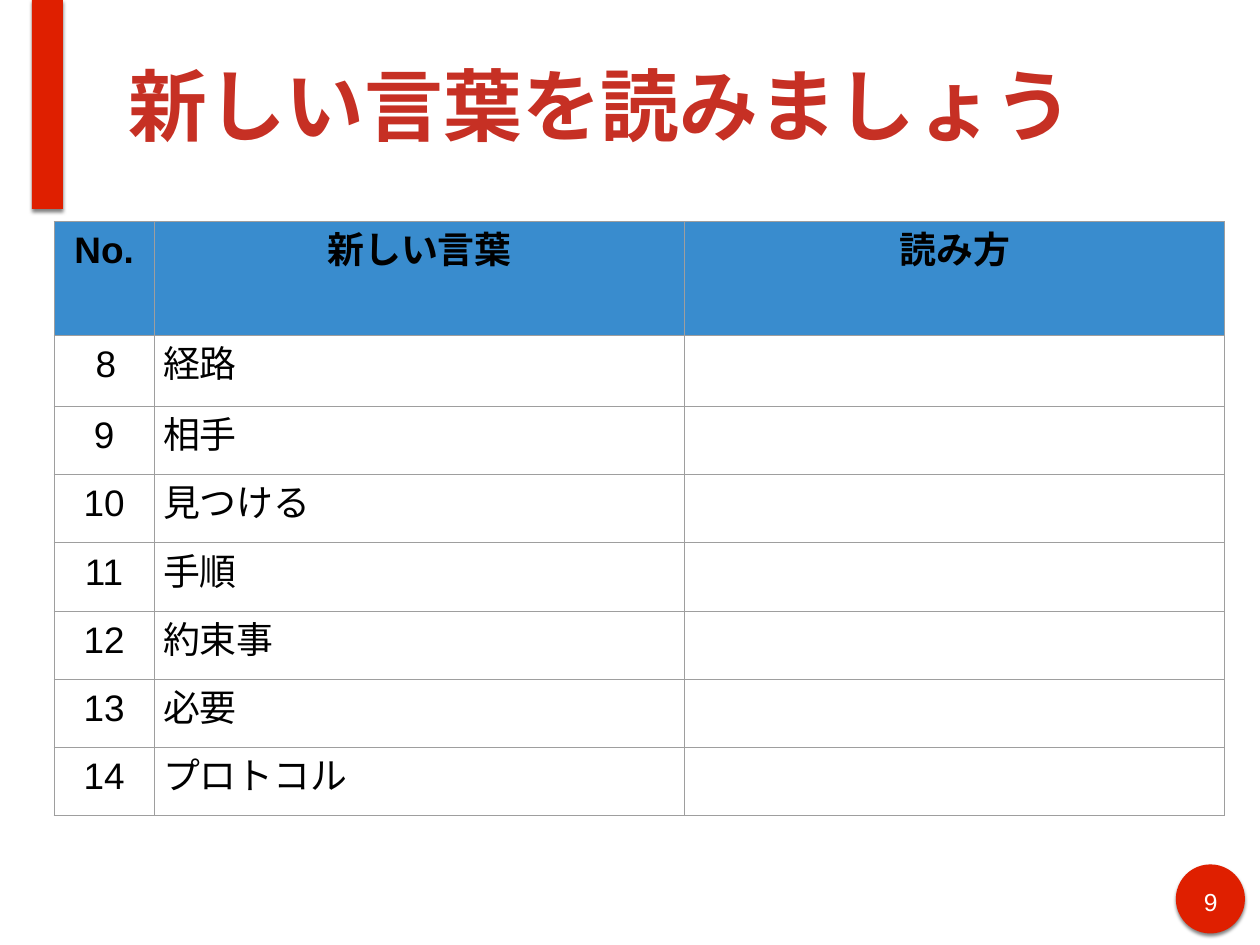
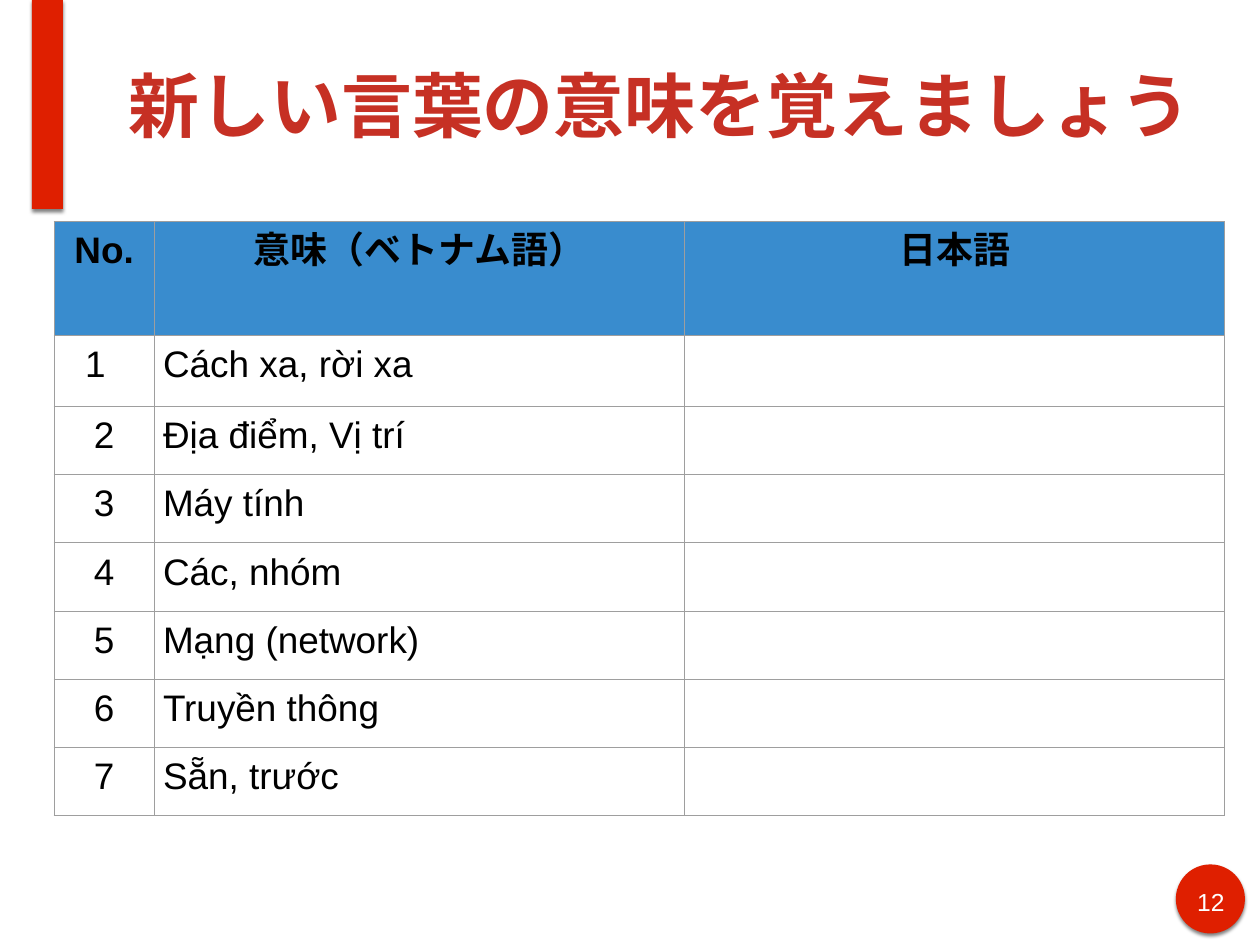
from dataclasses import dataclass

from lxml import etree
from pptx import Presentation
from pptx.dml.color import RGBColor
from pptx.enum.lang import MSO_LANGUAGE_ID as Language
from pptx.enum.shapes import MSO_SHAPE as Shape
from pptx.enum.text import MSO_ANCHOR as Anchor, MSO_AUTO_SIZE as AutoSize, PP_ALIGN as Align
from pptx.oxml.ns import qn
from pptx.util import Inches, Pt


@dataclass(frozen=True)
class Theme:
    font: str = "Arial"
    accent: str = "DF1F00"
    title: str = "C63024"
    header: str = "398CCE"
    border: str = "9E9E9E"
    text: str = "000000"
    light: str = "FFFFFF"
    table_size: float = 30
    number_size: float = 20
    border_width: float = 0.75
    cell_margin: float = 0.1
    text_margin: float = 0.06


THEME = Theme()
COLUMN_WIDTHS = (1.13, 5.99, 6.09)
HEADER_HEIGHT, FIRST_HEIGHT, ROW_HEIGHT = 1.29, 0.8, 0.77

# Slide content; first_indent places the left-aligned first number
SLIDES = [
    dict(
        title="新しい言葉を読みましょう", title_size=64, page=9,
        headers=("No.", "新しい言葉", "読み方"), first_number=8, first_indent=0.37,
        words=("経路", "相手", "見つける", "手順", "約束事", "必要", "プロトコル"),
    ),
    dict(
        title="新しい言葉の意味を覚えましょう", title_size=57.6, page=12,
        headers=("No.", "意味（ベトナム語）", "日本語"), first_number=1, first_indent=0.25,
        words=("Cách xa, rời xa", "Địa điểm, Vị trí", "Máy tính", "Các, nhóm",
               "Mạng (network)", "Truyền thông", "Sẵn, trước"),
    ),
]


# Text
def write(text_frame, text, size, color, bold=False, align=Align.LEFT):
    text_frame.text = text
    paragraph = text_frame.paragraphs[0]
    paragraph.alignment = align
    for run in paragraph.runs:
        font = run.font
        font.size, font.bold, font.name = Pt(size), bold, THEME.font
        font.color.rgb = RGBColor.from_string(color)
        font.language_id = Language.JAPANESE
        etree.SubElement(run._r.rPr, qn("a:ea"), typeface=THEME.font)


def set_margins(target, inches):
    target.margin_left = target.margin_right = Inches(inches)
    target.margin_top = target.margin_bottom = Inches(inches)


# Shared decoration
def add_accent(slide, kind, left, top, width, height):
    shape = slide.shapes.add_shape(kind, Inches(left), Inches(top), Inches(width), Inches(height))
    shape.fill.solid()
    shape.fill.fore_color.rgb = RGBColor.from_string(THEME.accent)
    shape.line.fill.background()
    shape.shadow.inherit = False
    effects = shape._element.spPr.find(qn("a:effectLst"))
    shadow = etree.SubElement(effects, qn("a:outerShdw"), blurRad=str(Pt(3)), dist=str(Pt(2)),
                              dir="5400000", rotWithShape="0")
    color = etree.SubElement(shadow, qn("a:srgbClr"), val=THEME.text)
    etree.SubElement(color, qn("a:alpha"), val="50000")


def add_page_number(slide, page):
    add_accent(slide, Shape.OVAL, 13.27, 9.76, 0.78, 0.78)
    box = slide.shapes.add_textbox(Inches(13.42), Inches(9.95), Inches(0.49), Inches(0.39))
    box.text_frame.word_wrap = True
    set_margins(box.text_frame, THEME.text_margin)
    write(box.text_frame, str(page), THEME.number_size, THEME.light, align=Align.CENTER)


def set_title(slide, text, size):
    title = slide.shapes.title
    title.left, title.top = Inches(1.39), Inches(0.12)
    title.width, title.height = Inches(12.14), Inches(2.12)
    frame = title.text_frame
    frame.auto_size, frame.word_wrap = AutoSize.NONE, True
    frame.vertical_anchor = Anchor.MIDDLE
    set_margins(frame, THEME.text_margin)
    write(frame, text, size, THEME.title, bold=True)


# Vocabulary table
def add_borders(cell):
    properties = cell._tc.get_or_add_tcPr()
    for side in ("lnL", "lnR", "lnT", "lnB"):
        line = etree.SubElement(properties, qn(f"a:{side}"), w=str(Pt(THEME.border_width)))
        fill = etree.SubElement(line, qn("a:solidFill"))
        etree.SubElement(fill, qn("a:srgbClr"), val=THEME.border)


def fill_cell(cell, text, header, align):
    set_margins(cell, THEME.cell_margin)
    add_borders(cell)
    if header:
        cell.fill.solid()
        cell.fill.fore_color.rgb = RGBColor.from_string(THEME.header)
    else:
        cell.fill.background()
    if text:
        write(cell.text_frame, text, THEME.table_size, THEME.text, header, align)


def add_word_table(slide, headers, words, first_number, first_indent):
    rows = [headers] + [(str(number), word, "") for number, word in enumerate(words, first_number)]
    heights = [HEADER_HEIGHT, FIRST_HEIGHT] + [ROW_HEIGHT] * (len(words) - 1)
    frame = slide.shapes.add_table(len(rows), len(headers), Inches(0.61), Inches(2.5),
                                   Inches(sum(COLUMN_WIDTHS)), Inches(sum(heights)))
    table = frame.table
    table.horz_banding = False
    for column, width in zip(table.columns, COLUMN_WIDTHS):
        column.width = Inches(width)
    for row_index, (values, height) in enumerate(zip(rows, heights)):
        table.rows[row_index].height = Inches(height)
        for column_index, value in enumerate(values):
            header = row_index == 0
            centred = header or (column_index == 0 and row_index > 1)
            fill_cell(table.cell(row_index, column_index), value, header,
                      Align.CENTER if centred else Align.LEFT)
    table.cell(1, 0).margin_left = Inches(THEME.cell_margin + first_indent)


def add_word_slide(presentation, title, title_size, page, **table_content):
    slide = presentation.slides.add_slide(presentation.slide_layouts[5])
    add_accent(slide, Shape.RECTANGLE, 0.36, 0, 0.35, 2.36)
    add_page_number(slide, page)
    add_word_table(slide, **table_content)
    set_title(slide, title, title_size)


def main():
    presentation = Presentation()
    presentation.slide_width, presentation.slide_height = Inches(14.22), Inches(10.67)
    for content in SLIDES:
        add_word_slide(presentation, **content)
    presentation.save("out.pptx")


if __name__ == "__main__":
    main()
